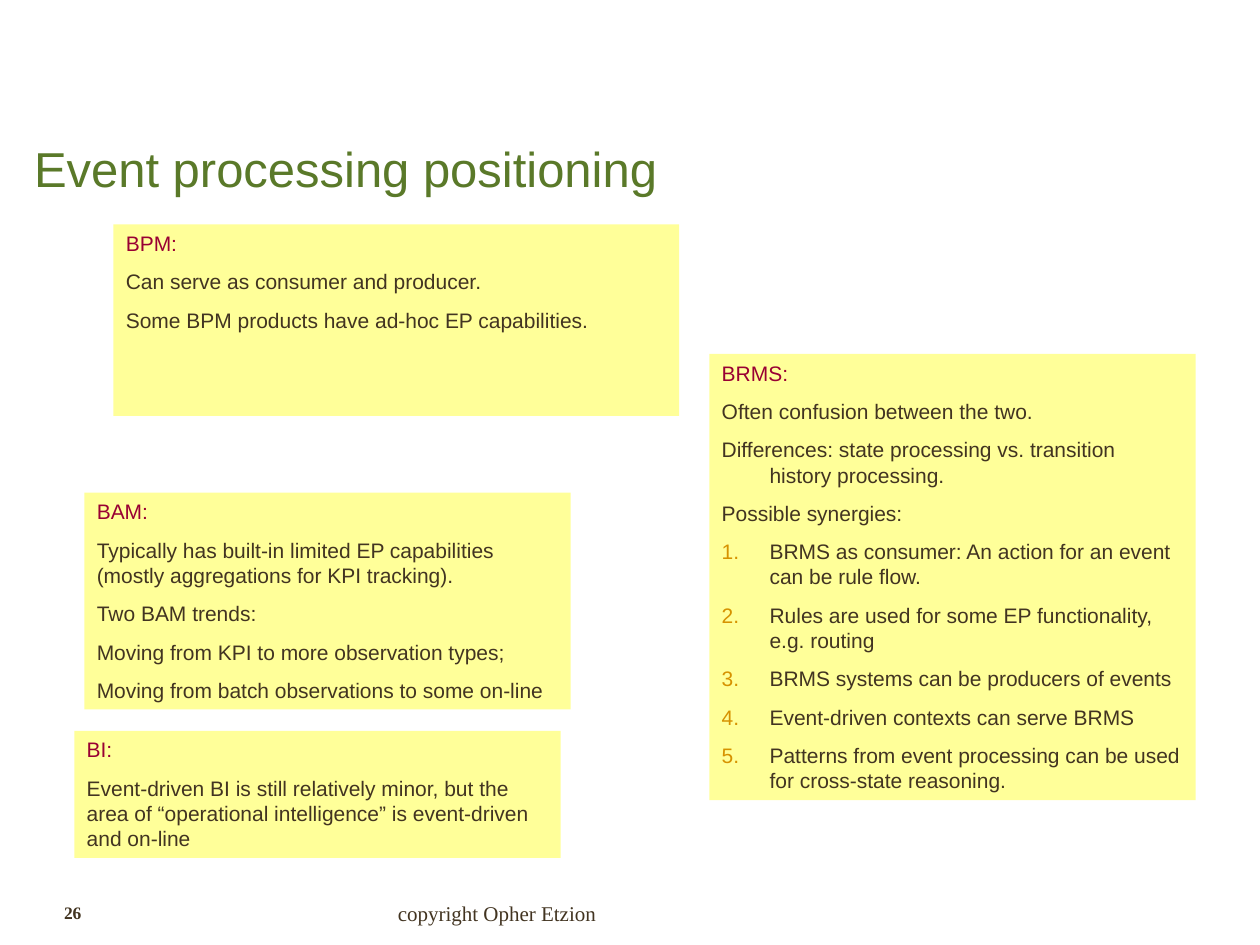
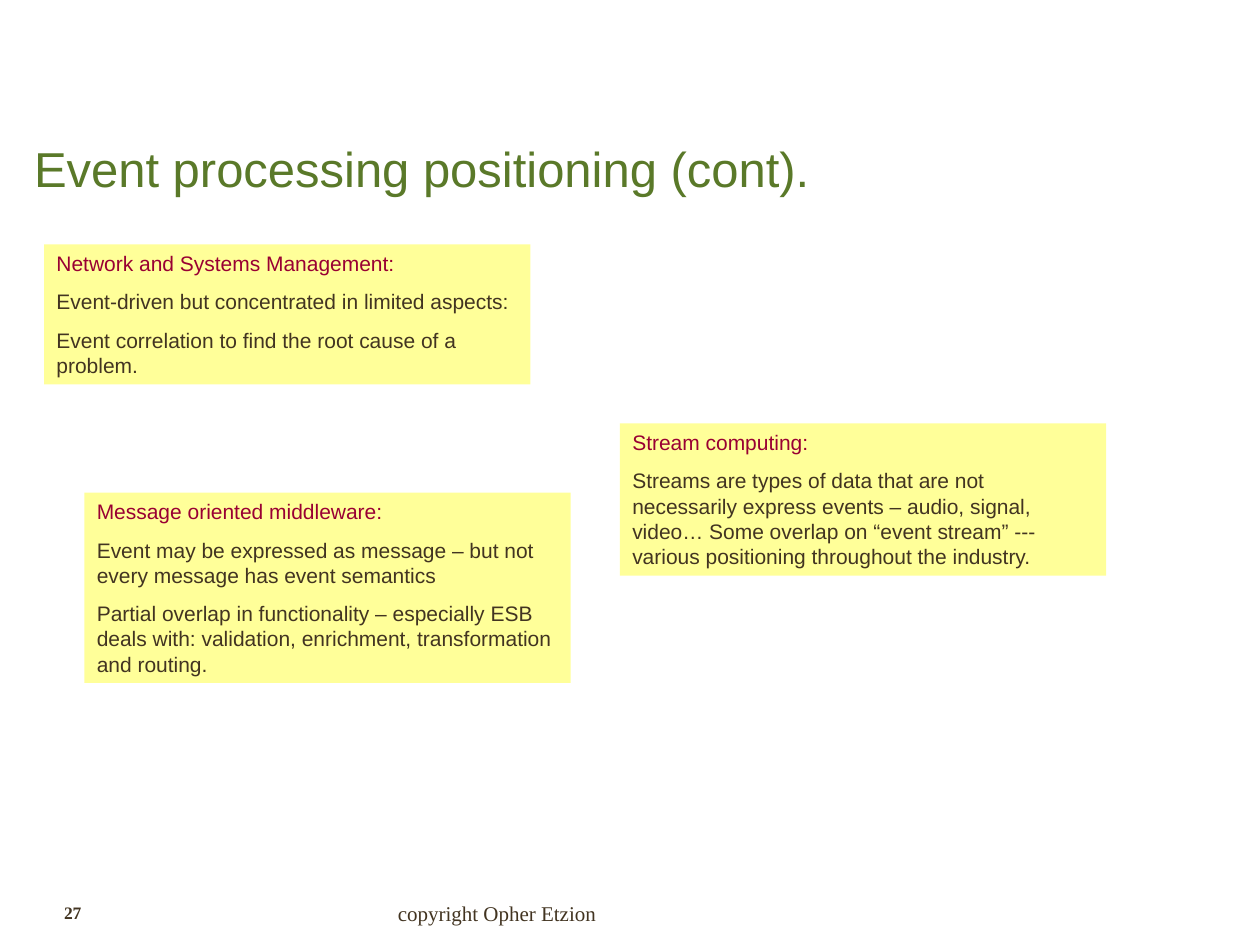
from pptx import Presentation
from pptx.dml.color import RGBColor
from pptx.enum.shapes import MSO_SHAPE as Shape
from pptx.enum.text import MSO_ANCHOR as Anchor, MSO_AUTO_SIZE as Fit, PP_ALIGN as Align
from pptx.oxml import parse_xml
from pptx.oxml.ns import nsdecls
from pptx.util import Inches, Pt

COLORS = {"title": "5A7929", "note": "FFFF99", "head": "990033",
          "text": "423421", "number": "D69200"}
SANS, SERIF = "Arial", "Times New Roman"
TITLE_ONLY = 5
NOTE_W = 3.86
HANG = 0.38
FOOT_INDENT = 0.24
FIRST_PAGE = 26

# Each note: left, top, width, height, heading, lines, numbered lines
PAGES = [
    ("Event processing positioning", [
        (0.9, 1.78, 4.49, 1.52, "BPM:", [
            "Can serve as consumer and producer.",
            "Some BPM products have ad-hoc EP capabilities."], []),
        (0.67, 3.91, NOTE_W, 1.72, "BAM:", [
            "Typically has built-in limited EP capabilities "
            "(mostly aggregations for KPI tracking).",
            "Two BAM trends:",
            "Moving from KPI to more observation types;",
            "Moving from batch observations to some on-line"], []),
        (0.59, 5.8, NOTE_W, 1.01, "BI:", [
            "Event-driven BI is still relatively minor, but the area of "
            "“operational intelligence” is event-driven and on-line"], []),
        (5.63, 2.81, NOTE_W, 3.54, "BRMS:", [
            "Often confusion between the two.",
            "Differences: state processing vs. transition history processing.",
            "Possible synergies:"], [
            "BRMS as consumer: An action for an event can be rule flow.",
            "Rules are used for some EP functionality, e.g. routing",
            "BRMS systems can be producers of events",
            "Event-driven contexts can serve BRMS",
            "Patterns from event processing can be used for "
            "cross-state reasoning."]),
    ]),
    ("Event processing positioning (cont).", [
        (0.35, 1.94, NOTE_W, 1.11, "Network and Systems Management:", [
            "Event-driven but concentrated in limited aspects:",
            "Event correlation to find the root cause of a problem."], []),
        (0.67, 3.91, NOTE_W, 1.51, "Message oriented middleware:", [
            "Event may be expressed as message – but not every message "
            "has event semantics",
            "Partial overlap in functionality – especially ESB deals with: "
            "validation, enrichment, transformation and routing."], []),
        (4.92, 3.36, NOTE_W, 1.21, "Stream computing:", [
            "Streams are types of data that are not necessarily express "
            "events – audio, signal, video… Some overlap on “event stream” "
            "--- various positioning throughout the industry."], []),
    ]),
]


def rgb(name):
    return RGBColor.from_string(COLORS[name])


def style(para, size, color, face=SANS, bold=False, align=Align.LEFT):
    para.alignment = align
    for run in para.runs:
        font = run.font
        font.size, font.name, font.bold = Pt(size), face, bold
        font.color.rgb = rgb(color)


def indent(para, left, first=0):
    props = para._p.get_or_add_pPr()
    props.set("marL", str(Inches(left)))
    props.set("indent", str(Inches(first)))


def number(para):
    """Give the paragraph a coloured automatic number."""
    props = para._p.get_or_add_pPr()
    props.append(parse_xml(
        f'<a:buClr {nsdecls("a")}><a:srgbClr val="{COLORS["number"]}"/></a:buClr>'))
    props.append(parse_xml(
        f'<a:buAutoNum {nsdecls("a")} type="arabicPeriod"/>'))


def add_title(slide, text):
    title = slide.shapes.title
    title.left, title.top = Inches(0.17), Inches(1.07)
    title.width, title.height = Inches(9.02), Inches(0.55)
    frame = title.text_frame
    frame.text = text
    frame.auto_size = Fit.NONE
    frame.vertical_anchor = Anchor.BOTTOM
    para = frame.paragraphs[0]
    para.line_spacing = 0.9
    style(para, 28, "title")


def add_note(slide, left, top, width, height, head, lines, steps):
    note = slide.shapes.add_shape(Shape.RECTANGLE, Inches(left), Inches(top),
                                  Inches(width), Inches(height))
    note.shadow.inherit = False
    note.fill.solid()
    note.fill.fore_color.rgb = rgb("note")
    note.line.fill.background()
    frame = note.text_frame
    frame.word_wrap = True
    frame.vertical_anchor = Anchor.TOP
    frame.text = "\n".join([head, *lines, *steps])
    for i, para in enumerate(frame.paragraphs):
        if steps:
            indent(para, HANG, -HANG)
        if i > len(lines):
            number(para)
        if i:
            para.space_before = Pt(7.5)
        style(para, 12, "text" if i else "head")


def add_label(slide, text, left, top, width, height, anchor, size, **look):
    box = slide.shapes.add_textbox(Inches(left), Inches(top),
                                   Inches(width), Inches(height))
    frame = box.text_frame
    frame.word_wrap = True
    frame.vertical_anchor = anchor
    frame.text = text
    para = frame.paragraphs[0]
    indent(para, FOOT_INDENT)
    style(para, size, "text", SERIF, **look)


def add_footer(slide, page):
    add_label(slide, "copyright Opher Etzion", 2.24, 6.9, 3.17, 0.5,
              Anchor.BOTTOM, 12, align=Align.CENTER)
    add_label(slide, str(page), 0.17, 7.11, 1.1, 0.35,
              Anchor.TOP, 10, bold=True)


def main():
    deck = Presentation()
    deck.slide_width, deck.slide_height = Inches(10), Inches(7.5)
    for page, (title, notes) in enumerate(PAGES, FIRST_PAGE):
        slide = deck.slides.add_slide(deck.slide_layouts[TITLE_ONLY])
        add_title(slide, title)
        for note in notes:
            add_note(slide, *note)
        add_footer(slide, page)
    deck.save("out.pptx")


if __name__ == "__main__":
    main()
